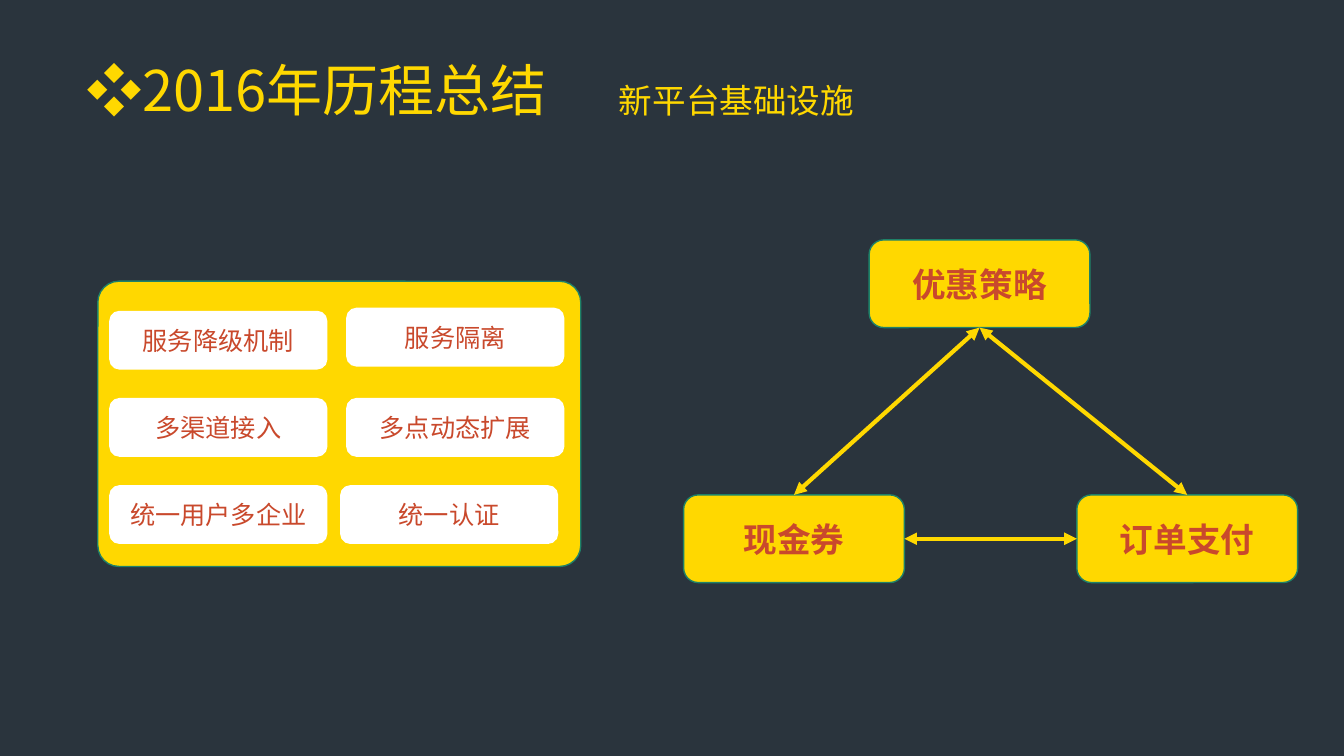
"""Build the 2016 review slide on the new platform's infrastructure."""
from dataclasses import dataclass

from lxml.etree import SubElement
from pptx import Presentation
from pptx.dml.color import RGBColor
from pptx.enum.shapes import MSO_CONNECTOR, MSO_SHAPE
from pptx.enum.text import MSO_ANCHOR, MSO_AUTO_SIZE, PP_ALIGN
from pptx.oxml.ns import qn
from pptx.util import Inches, Pt


@dataclass(frozen=True)
class Theme:
    font: str = "Noto Sans CJK SC"
    night: RGBColor = RGBColor(0x2A, 0x34, 0x3D)
    yellow: RGBColor = RGBColor(0xFF, 0xD8, 0x00)
    green: RGBColor = RGBColor(0x1E, 0x81, 0x68)
    white: RGBColor = RGBColor(0xFF, 0xFF, 0xFF)
    red: RGBColor = RGBColor(0xC9, 0x49, 0x2C)
    title_size: int = 40
    heading_size: int = 24
    tile_size: int = 18


theme = Theme()


def write(frame, text, size, color, align=PP_ALIGN.LEFT, bold=False):
    frame.word_wrap = True
    frame.auto_size = MSO_AUTO_SIZE.NONE
    frame.text = text
    paragraph = frame.paragraphs[0]
    paragraph.alignment = align
    font = paragraph.font
    font.name, font.size, font.bold = theme.font, Pt(size), bold
    font.color.rgb = color
    defaults = paragraph._p.pPr.find(qn("a:defRPr"))
    SubElement(defaults, qn("a:ea")).set("typeface", theme.font)
    return paragraph


def add_box(left, top, width, height, fill, outline):
    box = slide.shapes.add_shape(
        MSO_SHAPE.ROUNDED_RECTANGLE,
        Inches(left), Inches(top), Inches(width), Inches(height))
    box.shadow.inherit = False
    box.fill.solid()
    box.fill.fore_color.rgb = fill
    box.line.color.rgb = outline
    box.line.width = Pt(1)
    box.text_frame.vertical_anchor = MSO_ANCHOR.MIDDLE
    return box


deck = Presentation()
deck.slide_width, deck.slide_height = Inches(13.33), Inches(7.5)
slide = deck.slides.add_slide(deck.slide_layouts[5])
slide.background.fill.solid()
slide.background.fill.fore_color.rgb = theme.night

title = slide.shapes.title
title.left, title.top = Inches(0.76), Inches(0.49)
title.width, title.height = Inches(4.85), Inches(0.77)
title.text_frame.vertical_anchor = MSO_ANCHOR.TOP
heading = write(title.text_frame, "❖2016年历程总结", theme.title_size, theme.yellow)
heading.line_spacing = Pt(49)

subtitle = slide.shapes.add_textbox(Inches(6.04), Inches(0.73), Inches(2.56), Inches(0.5))
topic = write(subtitle.text_frame, "新平台基础设施", theme.heading_size, theme.yellow)
topic.line_spacing = Pt(30)

panel = add_box(0.97, 2.79, 4.79, 2.83, theme.yellow, theme.green)
panel.adjustments[0] = 0.074

tile_left, tile_top, column_step, row_step = 1.09, 3.09, 2.35, 0.865
capabilities = [
    ("服务降级机制", 0, 0, 0, 0),
    ("服务隔离", 1, 0, 0, -0.03),
    ("多渠道接入", 0, 1, 0, 0),
    ("多点动态扩展", 1, 1, 0, 0),
    ("统一用户多企业", 0, 2, 0, 0),
    ("统一认证", 1, 2, -0.06, 0),
]
for capability, column, row, shift_x, shift_y in capabilities:
    tile = add_box(tile_left + column * column_step + shift_x,
                   tile_top + row * row_step + shift_y,
                   2.15, 0.57, theme.white, theme.white)
    write(tile.text_frame, capability, theme.tile_size, theme.red, PP_ALIGN.CENTER)

modules_by_name = {}
for name, left, top in [("优惠策略", 8.62, 2.38), ("现金券", 6.78, 4.91), ("订单支付", 10.68, 4.91)]:
    node = add_box(left, top, 2.19, 0.87, theme.yellow, theme.green)
    write(node.text_frame, name, theme.heading_size, theme.red, PP_ALIGN.CENTER, bold=True)
    modules_by_name[name] = node

bottom, left_side, right_side, top_side = 2, 1, 3, 0
for source, source_side, target, target_side in [
    ("订单支付", top_side, "优惠策略", bottom),
    ("现金券", right_side, "订单支付", left_side),
    ("优惠策略", bottom, "现金券", top_side),
]:
    link = slide.shapes.add_connector(MSO_CONNECTOR.STRAIGHT, 0, 0, 0, 0)
    link.begin_connect(modules_by_name[source], source_side)
    link.end_connect(modules_by_name[target], target_side)
    link.line.color.rgb = theme.yellow
    link.line.width = Pt(3)
    outline = link.line._get_or_add_ln()
    for arrowhead in ("a:headEnd", "a:tailEnd"):
        SubElement(outline, qn(arrowhead)).set("type", "triangle")
    SubElement(link._element.spPr, qn("a:effectLst"))

deck.save("out.pptx")
